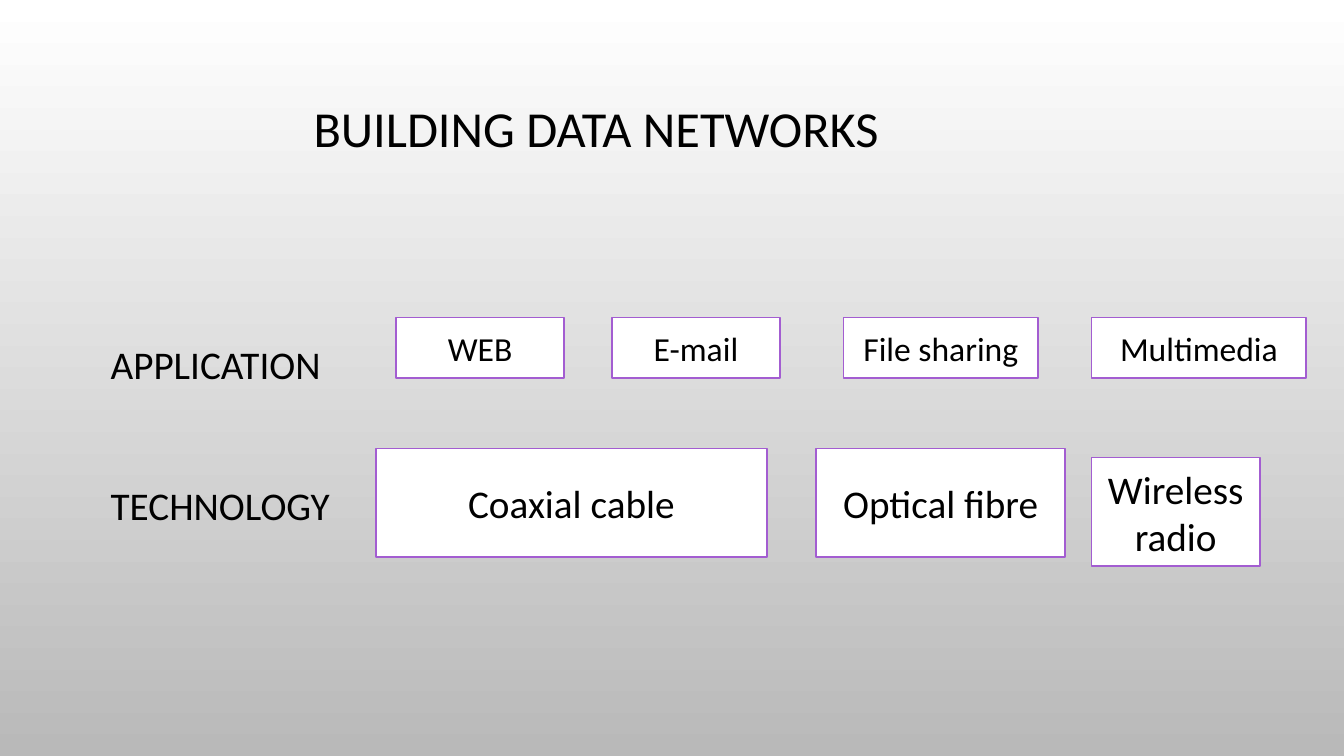
from pptx import Presentation
from pptx.dml.color import RGBColor
from pptx.enum.shapes import MSO_SHAPE
from pptx.enum.text import MSO_ANCHOR, PP_ALIGN
from pptx.util import Cm, Pt

RECTANGLE = MSO_SHAPE.RECTANGLE
MIDDLE = MSO_ANCHOR.MIDDLE
LEFT, CENTER = PP_ALIGN.LEFT, PP_ALIGN.CENTER

BLACK = RGBColor(0x00, 0x00, 0x00)
WHITE = RGBColor(0xFF, 0xFF, 0xFF)
GREY = RGBColor(0xB9, 0xB9, 0xB9)
PURPLE = RGBColor(0xA3, 0x5D, 0xD1)

TITLE = "BUILDING DATA NETWORKS"
LAYERS = [
    {
        "label": "APPLICATION", "label_middle": 9.18, "height": 1.52, "size": 24,
        "boxes": [
            ("WEB", 9.98, 8, 4.24),
            ("E-mail", 15.42, 8, 4.24),
            ("File sharing", 21.26, 8, 4.9),
            ("Multimedia", 27.51, 8, 5.41),
        ],
    },
    {
        "label": "TECHNOLOGY", "label_middle": 12.73, "height": 2.74, "size": 28,
        "boxes": [
            ("Coaxial cable", 9.47, 11.3, 9.86),
            ("Optical fibre", 20.57, 11.3, 6.27),
            ("Wireless radio", 27.51, 11.53, 4.24),
        ],
    },
]
MARGIN = 2.54
LABEL_WIDTH, LABEL_HEIGHT, LABEL_SIZE = 6.5, 1.6, 28


def write(shape, text, size, align):
    frame = shape.text_frame
    frame.word_wrap = True
    frame.vertical_anchor = MIDDLE
    paragraph = frame.paragraphs[0]
    paragraph.text = text
    paragraph.alignment = align
    paragraph.font.name = "Calibri"
    paragraph.font.size = Pt(size)
    paragraph.font.color.rgb = BLACK
    return paragraph


def add_box(slide, text, left, top, width, height, size):
    box = slide.shapes.add_shape(RECTANGLE, Cm(left), Cm(top), Cm(width), Cm(height))
    box.shadow.inherit = False
    box.fill.solid()
    box.fill.fore_color.rgb = WHITE
    box.line.color.rgb = PURPLE
    box.line.width = Pt(1.25)
    write(box, text, size, CENTER)


def main():
    deck = Presentation()
    deck.slide_width, deck.slide_height = Cm(33.87), Cm(19.05)
    slide = deck.slides.add_slide(deck.slide_layouts[6])

    backdrop = slide.background.fill
    backdrop.gradient()
    backdrop.gradient_angle = 270
    for stop, color, position in zip(backdrop.gradient_stops, (WHITE, GREY), (0, 1)):
        stop.color.rgb = color
        stop.position = position

    title = slide.shapes.add_textbox(Cm(MARGIN), Cm(1.73), Cm(24.97), Cm(3.15))
    write(title, TITLE, 36, CENTER).line_spacing = 0.9

    for layer in LAYERS:
        label_top = layer["label_middle"] - LABEL_HEIGHT / 2
        label = slide.shapes.add_textbox(
            Cm(MARGIN), Cm(label_top), Cm(LABEL_WIDTH), Cm(LABEL_HEIGHT))
        write(label, layer["label"], LABEL_SIZE, LEFT)
        for text, left, top, width in layer["boxes"]:
            add_box(slide, text, left, top, width, layer["height"], layer["size"])

    deck.save("out.pptx")


if __name__ == "__main__":
    main()
